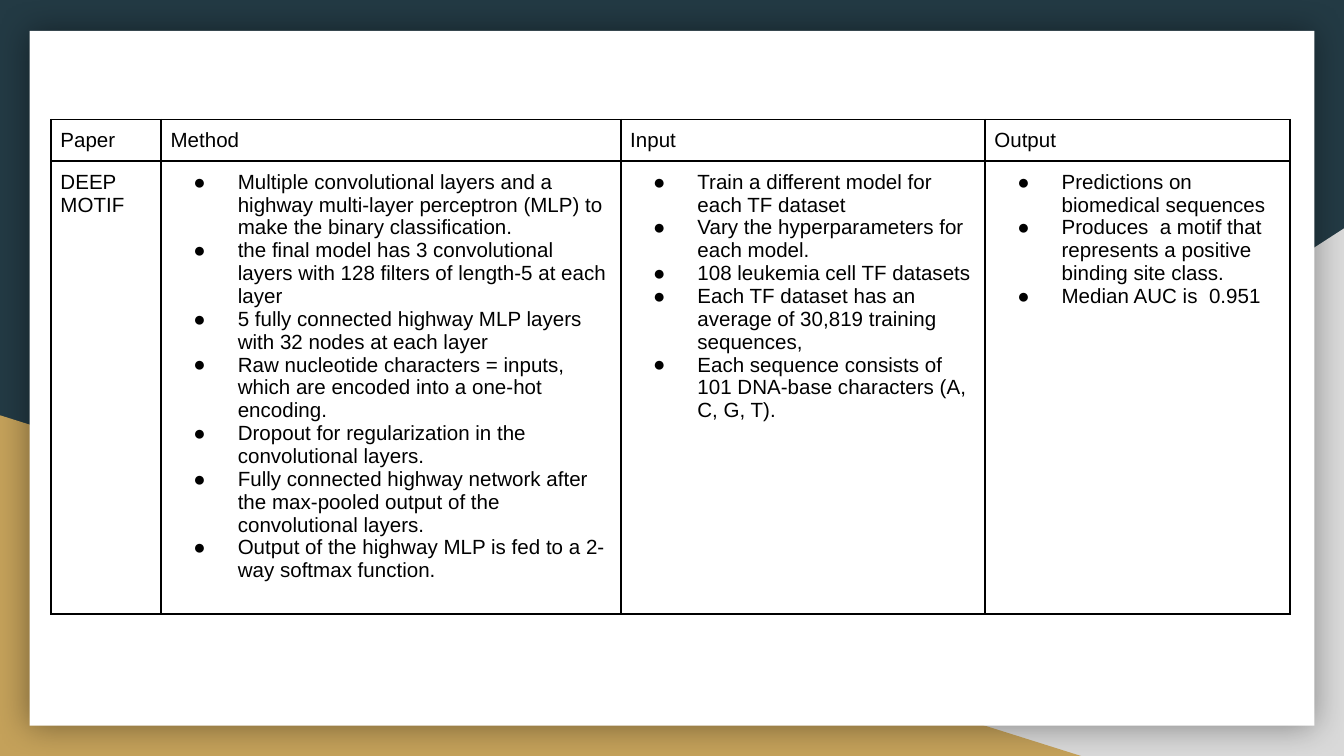
from lxml.etree import SubElement
from pptx import Presentation
from pptx.dml.color import RGBColor
from pptx.enum.shapes import MSO_SHAPE as SHAPE
from pptx.oxml.ns import qn
from pptx.util import Inches, Pt

BLACK = "000000"
HEADERS = ["Paper", "Method", "Input", "Output"]
PAPER = "DEEP MOTIF"
DETAILS = [
    [
        "Multiple convolutional layers and a highway multi-layer perceptron (MLP) to make the binary classification.",
        "the final model has 3 convolutional layers with 128 filters of length-5 at each layer",
        "5 fully connected highway MLP layers with 32 nodes at each layer",
        "Raw nucleotide characters = inputs, which are encoded into a one-hot encoding.",
        "Dropout for regularization in the convolutional layers.",
        "Fully connected highway network after the max-pooled output of the convolutional layers.",
        "Output of the highway MLP is fed to a 2-way softmax function.",
    ],
    [
        "Train a different model for each TF dataset",
        "Vary the hyperparameters for each model.",
        "108 leukemia cell TF datasets",
        "Each TF dataset has an average of 30,819 training sequences,",
        "Each sequence consists of 101 DNA-base characters (A, C, G, T).",
    ],
    [
        "Predictions on biomedical sequences",
        "Produces  a motif that represents a positive binding site class.",
        "Median AUC is  0.951",
    ],
]
SLIDE_WIDTH = 10
SLIDE_HEIGHT = SLIDE_WIDTH * 9 / 16
COL_WIDTHS = [0.82, 3.42, 2.71, 2.27]
ROW_HEIGHTS = [0.31, 3.37]
BACKDROP = [
    (SHAPE.RIGHT_TRIANGLE, (3.92, 1.7, 6.08, 3.93), "D9D9D9"),
    (SHAPE.RIGHT_TRIANGLE, (0, 3.09, 8.06, 2.54), "C4A15A"),
    (SHAPE.RECTANGLE, (0.22, 0.23, 9.56, 5.17), "FFFFFF"),
]


def paint(fill, color):
    fill.solid()
    fill.fore_color.rgb = RGBColor.from_string(color)


def add_backdrop(slide, kind, box, color):
    sp = slide.shapes.add_shape(kind, *map(Inches, box))
    sp.shadow.inherit = False
    paint(sp.fill, color)
    sp.line.fill.background()
    return sp


def add_soft_shadow(sp):
    effects = sp._element.spPr.find(qn("a:effectLst"))
    shadow = SubElement(effects, qn("a:outerShdw"), blurRad=str(Pt(18)),
                        dist="0", dir="0", algn="ctr", rotWithShape="0")
    color = SubElement(shadow, qn("a:srgbClr"), val=BLACK)
    SubElement(color, qn("a:alpha"), val="40000")


def add_bullet(p):
    pPr = p._p.get_or_add_pPr()
    pPr.set("marL", str(Inches(0.5)))
    pPr.set("indent", str(Inches(-0.33)))
    color = SubElement(pPr, qn("a:buClr"))
    SubElement(color, qn("a:srgbClr"), val=BLACK)
    SubElement(pPr, qn("a:buFont"), typeface="Arial")
    SubElement(pPr, qn("a:buChar"), char="●")


def add_borders(cell):
    tcPr = cell._tc.get_or_add_tcPr()
    for i, side in enumerate(("lnL", "lnR", "lnT", "lnB")):
        ln = SubElement(tcPr, qn(f"a:{side}"), w=str(Pt(1)))
        tcPr.insert(i, ln)
        fill = SubElement(ln, qn("a:solidFill"))
        SubElement(fill, qn("a:srgbClr"), val=BLACK)


def fill_cell(cell, lines, bulleted):
    cell.fill.background()
    add_borders(cell)
    cell.margin_left = cell.margin_right = Inches(0.07)
    cell.margin_top = cell.margin_bottom = Inches(0.07)
    tf = cell.text_frame
    tf.text = "\n".join(lines)
    for p in tf.paragraphs:
        if bulleted:
            add_bullet(p)
        for r in p.runs:
            r.font.size = Pt(11)
            r.font.name = "Arial"
            r.font.bold = False
            r.font.color.rgb = RGBColor.from_string(BLACK)


def main():
    prs = Presentation()
    prs.slide_width, prs.slide_height = Inches(SLIDE_WIDTH), Inches(SLIDE_HEIGHT)
    slide = prs.slides.add_slide(prs.slide_layouts[6])
    paint(slide.background.fill, "233A44")

    right, left, card = [add_backdrop(slide, *item) for item in BACKDROP]
    right._element.spPr.xfrm.set("flipH", "1")
    add_soft_shadow(card)

    rows = [[[text] for text in HEADERS], [[PAPER], *DETAILS]]
    size = (sum(COL_WIDTHS), sum(ROW_HEIGHTS))
    table = slide.shapes.add_table(
        len(rows), len(HEADERS), Inches(0.38), Inches(0.89), *map(Inches, size)).table
    table.first_row = table.horz_banding = False
    for column, width in zip(table.columns, COL_WIDTHS):
        column.width = Inches(width)
    for row, height in zip(table.rows, ROW_HEIGHTS):
        row.height = Inches(height)
    for i, row in enumerate(rows):
        for j, lines in enumerate(row):
            fill_cell(table.cell(i, j), lines, bulleted=i > 0 and j > 0)

    prs.save("out.pptx")


if __name__ == "__main__":
    main()
